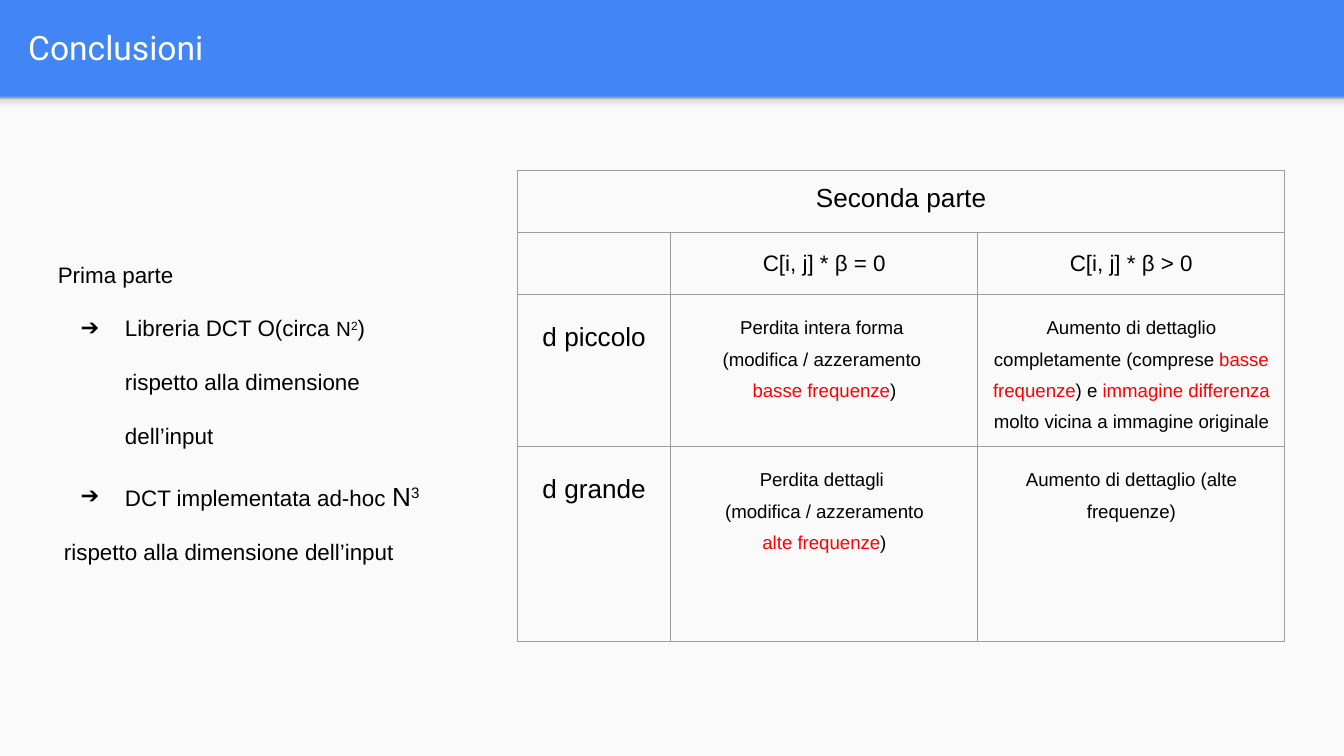
from lxml import etree
from pptx import Presentation
from pptx.dml.color import RGBColor
from pptx.enum.shapes import MSO_SHAPE
from pptx.enum.text import MSO_ANCHOR, MSO_AUTO_SIZE, PP_ALIGN
from pptx.oxml import parse_xml
from pptx.oxml.ns import nsdecls, qn
from pptx.util import Inches, Pt

RECT = MSO_SHAPE.RECTANGLE
TOP, MIDDLE = MSO_ANCHOR.TOP, MSO_ANCHOR.MIDDLE
LEFT, CENTER = PP_ALIGN.LEFT, PP_ALIGN.CENTER
NO_FIT = MSO_AUTO_SIZE.NONE

COLORS = {"blue": "4285F4", "panel": "FAFAFA", "white": "FFFFFF", "black": "000000",
          "red": "FF0000", "border": "9E9E9E"}
SHADOW_STOPS = [(0, "F9F9F9"), (36, "F9F9F9"), (80, "DEDEDE"), (100, "999999")]
BODY_FONT = "Arial"
INSET = Inches(0.1)

HEADERS = ["", "C[i, j] * β = 0", "C[i, j] * β > 0"]
ROWS = [
    ("d piccolo",
     [["Perdita intera forma "], ["(modifica / azzeramento "], [("basse frequenze", "red"), ")"]],
     [["Aumento di dettaglio completamente (comprese ", ("basse frequenze", "red"), ") e ",
       ("immagine differenza", "red"), " molto vicina a immagine originale"]]),
    ("d grande",
     [["Perdita dettagli "], ["(modifica / azzeramento"], [("alte frequenze", "red"), ")"]],
     [["Aumento di dettaglio (alte frequenze)"]]),
]


def rgb(name):
    return RGBColor.from_string(COLORS[name])


def add_run(p, text, size=12, color="black", font=BODY_FONT, superscript=False):
    r = p.add_run()
    r.text = text
    r.font.size = Pt(size)
    r.font.name = font
    r.font.color.rgb = rgb(color)
    if superscript:
        r.font._element.set("baseline", "30000")


def place(sp, box):
    sp.left, sp.top, sp.width, sp.height = (Inches(v) for v in box)


def format_frame(tf, anchor=TOP):
    tf.margin_left = tf.margin_right = tf.margin_top = tf.margin_bottom = INSET
    tf.word_wrap = True
    tf.auto_size = NO_FIT
    tf.vertical_anchor = anchor


def format_paragraph(p, spacing=1.0, align=LEFT, margin=0, indent=0, bullet=None):
    p.alignment = align
    p.line_spacing = spacing
    p.space_before = p.space_after = Pt(0)
    pPr = p._p.get_or_add_pPr()
    pPr.set("marL", str(Inches(margin)))
    pPr.set("indent", str(Inches(indent)))
    if bullet:
        color = etree.SubElement(pPr, qn("a:buClr"))
        etree.SubElement(color, qn("a:srgbClr"), val=COLORS["black"])
        etree.SubElement(pPr, qn("a:buFont"), typeface=BODY_FONT)
        etree.SubElement(pPr, qn("a:buChar"), char=bullet)
    else:
        etree.SubElement(pPr, qn("a:buNone"))


def add_backdrop_part(s, box, depth):
    sp = s.shapes.add_shape(RECT, *(Inches(v) for v in box))
    sp.shadow.inherit = False
    sp.line.fill.background()
    s.shapes._spTree.insert(2 + depth, sp._element)
    return sp


def add_backdrop(s, box):
    left, top, width, height = box
    panel = add_backdrop_part(s, box, 0)
    panel.fill.solid()
    panel.fill.fore_color.rgb = rgb("panel")

    shadow = add_backdrop_part(s, (left, top, width, 0.12), 1)
    stops = "".join(f'<a:gs pos="{pos * 1000}"><a:srgbClr val="{color}"/></a:gs>'
                    for pos, color in SHADOW_STOPS)
    gradient = parse_xml(f'<a:gradFill {nsdecls("a")} rotWithShape="1"><a:gsLst>{stops}</a:gsLst>'
                         '<a:lin ang="16200000" scaled="0"/></a:gradFill>')
    shadow._element.spPr.find(qn("a:prstGeom")).addnext(gradient)


def fill_title(sp, box):
    place(sp, box)
    format_frame(sp.text_frame, MIDDLE)
    p = sp.text_frame.paragraphs[0]
    format_paragraph(p)
    add_run(p, "Conclusioni", size=18, color="white", font="Roboto")


def fill_first_part(sp, box):
    place(sp, box)
    tf = sp.text_frame
    format_frame(tf)
    item = {"margin": 0.5, "indent": -0.33, "bullet": "➔"}
    lines = [
        ({}, [("Prima parte", {})]),
        (item, [("Libreria DCT O(circa ", {}), ("N", {"size": 11}),
                ("2", {"size": 11, "superscript": True}),
                (") rispetto alla dimensione dell’input", {})]),
        (item, [("DCT implementata ad-hoc ", {}), ("N", {"size": 14}),
                ("3", {"size": 14, "superscript": True})]),
        ({}, [(" rispetto alla dimensione dell’input", {})]),
    ]
    for i, (layout, runs) in enumerate(lines):
        p = tf.add_paragraph() if i else tf.paragraphs[0]
        format_paragraph(p, spacing=2.0, **layout)
        for text, style in runs:
            add_run(p, text, **style)


def add_borders(cell):
    tcPr = cell._tc.get_or_add_tcPr()
    for i, side in enumerate(("lnL", "lnR", "lnT", "lnB")):
        tcPr.insert(i, parse_xml(
            f'<a:{side} {nsdecls("a")} w="{Pt(0.75)}"><a:solidFill>'
            f'<a:srgbClr val="{COLORS["border"]}"/></a:solidFill></a:{side}>'))


def fill_cell(cell, paragraphs, size=12, spacing=1.0, anchor=TOP):
    tf = cell.text_frame
    cell.vertical_anchor = anchor
    for i, runs in enumerate(paragraphs):
        p = tf.add_paragraph() if i else tf.paragraphs[0]
        format_paragraph(p, spacing=spacing, align=CENTER)
        for part in runs:
            text, color = (part, "black") if isinstance(part, str) else part
            add_run(p, text, size=size, color=color)


def add_second_part(s, box):
    heights, shares = (0.46, 0.46, 1.13, 1.45), (1, 2, 2)
    table = s.shapes.add_table(len(heights), len(shares), *(Inches(v) for v in box)).table
    table.first_row = table.horz_banding = False
    for row, height in zip(table.rows, heights):
        row.height = Inches(height)
    for column, share in zip(table.columns, shares):
        column.width = Inches(box[2] * share / sum(shares))

    for cell in table.iter_cells():
        cell.margin_left = cell.margin_right = cell.margin_top = cell.margin_bottom = INSET
        cell.fill.background()
        add_borders(cell)

    table.cell(0, 0).merge(table.cell(0, 2))
    fill_cell(table.cell(0, 0), [["Seconda parte"]], size=14)
    for c, text in enumerate(HEADERS):
        if text:
            fill_cell(table.cell(1, c), [[text]], anchor=MIDDLE)
    for r, (label, *details) in enumerate(ROWS, start=2):
        fill_cell(table.cell(r, 0), [[label]], size=14, spacing=1.5)
        for c, paragraphs in enumerate(details, start=1):
            fill_cell(table.cell(r, c), paragraphs, size=10, spacing=1.5)

    for cell in table.iter_cells():
        if not cell.text_frame.text:
            p = cell.text_frame.paragraphs[0]._p
            etree.SubElement(p, qn("a:endParaRPr"), sz="1200")


def main():
    prs = Presentation()
    prs.slide_width = Inches(10)
    prs.slide_height = prs.slide_width * 9 // 16
    s = prs.slides.add_slide(prs.slide_layouts[1])
    s.background.fill.solid()
    s.background.fill.fore_color.rgb = rgb("blue")
    add_backdrop(s, (0, 0.72, 10, 4.91))
    fill_title(s.shapes.title, (0.11, 0.02, 9.65, 0.66))
    fill_first_part(s.placeholders[1], (0.33, 1.64, 3, 2.67))
    add_second_part(s, (3.85, 1.27, 5.71, 3.5))
    prs.save("out.pptx")


if __name__ == "__main__":
    main()
